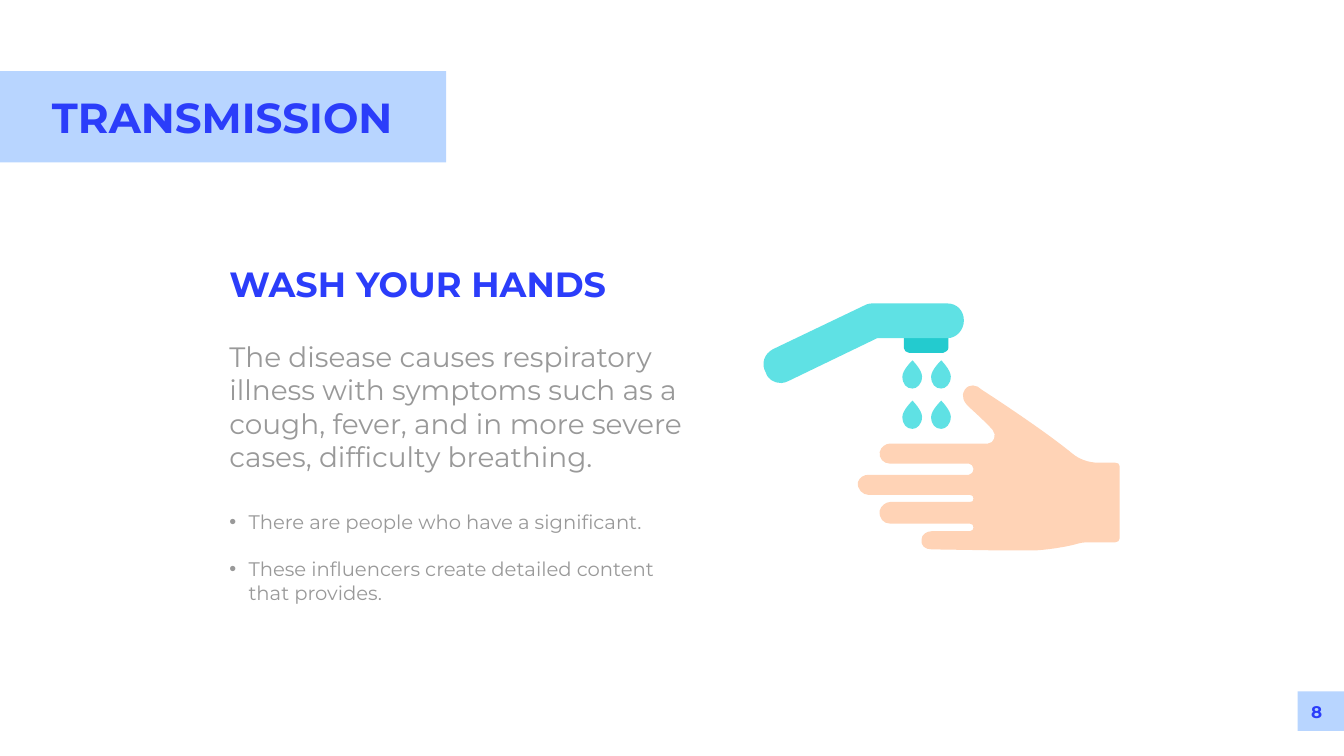
"""Build the hand-washing slide of a deck on transmission."""
from typing import NamedTuple

from lxml.etree import SubElement as Sub
from pptx import Presentation
from pptx.dml.color import RGBColor as Rgb
from pptx.enum.shapes import MSO_SHAPE as Kind
from pptx.enum.text import MSO_ANCHOR as Anchor, MSO_AUTO_SIZE as Fit, PP_ALIGN as Align
from pptx.oxml.ns import qn
from pptx.util import Inches, Pt

FONT = "Montserrat"
HUES = {
    "band": "B8D5FF", "blue": "2B3DFA", "gray": "999999",
    "skin": "FFD3B6", "water": "5FE1E4", "spout": "23CBCF",
}


class Box(NamedTuple):
    left: float
    top: float
    width: float
    height: float


class Part(NamedTuple):
    hue: str
    start: tuple
    steps: list


HAND = Part("skin", (22.12, 9.18), [
    (21.78, 9.18), (21.59, 9.18, 21.4, 9.11, 21.26, 8.99),
    (20.65, 8.49, 19.47, 7.73, 19.47, 7.73), (19.38, 7.63, 19.22, 7.61, 19.14, 7.73),
    (19.05, 7.87, 19.12, 7.99, 19.26, 8.11), (19.26, 8.11, 19.57, 8.39, 19.69, 8.53),
    (19.78, 8.63, 19.71, 8.8, 19.6, 8.8), (17.66, 8.8),
    (17.57, 8.8, 17.47, 8.87, 17.45, 8.97), (17.43, 9.09, 17.52, 9.2, 17.66, 9.2),
    (19.22, 9.2), (19.26, 9.2, 19.31, 9.25, 19.31, 9.3),
    (19.31, 9.37, 19.26, 9.42, 19.22, 9.42), (17.23, 9.42),
    (17.14, 9.42, 17.05, 9.47, 17.02, 9.56), (16.99, 9.71, 17.12, 9.82, 17.23, 9.82),
    (19.24, 9.82), (19.29, 9.82, 19.31, 9.85, 19.31, 9.89),
    (19.31, 9.94, 19.29, 9.96, 19.24, 9.96), (17.66, 9.96),
    (17.57, 9.96, 17.47, 10.04, 17.45, 10.13), (17.43, 10.28, 17.52, 10.39, 17.66, 10.39),
    (19.24, 10.39), (19.29, 10.39, 19.31, 10.42, 19.31, 10.47),
    (19.31, 10.49, 19.29, 10.54, 19.24, 10.54), (18.48, 10.54),
    (18.38, 10.54, 18.28, 10.61, 18.28, 10.7), (18.26, 10.83, 18.35, 10.9, 18.48, 10.9),
    (19.76, 10.92), (20.52, 10.92), (20.65, 10.92, 21.07, 10.87, 21.33, 10.8),
    (21.43, 10.77, 21.5, 10.76, 21.59, 10.76), (22.12, 10.76),
    (22.17, 10.76, 22.21, 10.73, 22.21, 10.68), (22.21, 9.25),
    (22.21, 9.2, 22.17, 9.18, 22.12, 9.18),
])
DROP = Part("water", (0.39, 0.32), [
    (0.39, 0.47, 0.29, 0.56, 0.2, 0.56), (0.08, 0.56, 0, 0.47, 0, 0.32),
    (0, 0.19, 0.2, 0, 0.2, 0), (0.2, 0, 0.39, 0.19, 0.39, 0.32),
])
SPOUT = Part("spout", (18.71, 7), [
    (18.03, 7), (17.98, 7, 17.93, 6.95, 17.93, 6.91), (17.93, 6.4),
    (17.93, 6.35, 17.98, 6.3, 18.03, 6.3), (18.71, 6.3),
    (18.75, 6.3, 18.81, 6.35, 18.81, 6.4), (18.81, 6.91),
    (18.81, 6.95, 18.75, 7, 18.71, 7),
])
TAP = Part("water", (15.5, 7.6), [
    (15.36, 7.6, 15.23, 7.53, 15.19, 7.39), (15.09, 7.22, 15.16, 7.02, 15.33, 6.93),
    (17.19, 6.04), (17.24, 6.02, 17.28, 6.02, 17.33, 6.02), (18.79, 6.02),
    (18.98, 6.02, 19.12, 6.16, 19.12, 6.36), (19.12, 6.54, 18.98, 6.71, 18.79, 6.71),
    (17.4, 6.71), (15.64, 7.56), (15.6, 7.58, 15.54, 7.6, 15.5, 7.6),
])


def paint(shape, hue: str) -> None:
    shape.shadow.inherit = False
    shape.fill.solid()
    shape.fill.fore_color.rgb = Rgb.from_string(HUES[hue])
    shape.line.fill.background()


def band(slide, box: Box) -> None:
    paint(slide.shapes.add_shape(Kind.RECTANGLE, *map(Inches, box)), "band")


def bend(line, step: tuple) -> None:
    line.tag = qn("a:cubicBezTo")
    end = line[0]
    for x, y in (step[:2], step[2:4]):
        knot = Sub(line, qn("a:pt"))
        knot.set("x", str(int(end.get("x")) + Inches(x - step[4])))
        knot.set("y", str(int(end.get("y")) + Inches(y - step[5])))
    line.append(end)


def draw(group, part: Part, left: float = 0, top: float = 0) -> None:
    spots = [(Inches(x + left), Inches(y + top))
             for x, y in [part.start] + [step[-2:] for step in part.steps]]
    pen = group.shapes.build_freeform(*spots[0])
    pen.add_line_segments(spots[1:], close=True)
    shape = pen.convert_to_shape()
    paint(shape, part.hue)
    lines = list(shape._element.iter(qn("a:lnTo")))
    for line, step in zip(lines, part.steps):
        if len(step) == 6:
            bend(line, step)


def write(slide, text: str, box: Box, *, size: int, hue: str = "gray", bold: bool = False,
          align=Align.LEFT, gap: int = 0, dots: bool = False, holder=None) -> None:
    shape = holder or slide.shapes.add_textbox(0, 0, 0, 0)
    shape.left, shape.top, shape.width, shape.height = map(Inches, box)
    slide.shapes._spTree.append(shape._element)
    frame = shape.text_frame
    frame.text = text
    frame.word_wrap = True
    frame.auto_size = Fit.NONE
    frame.vertical_anchor = Anchor.TOP
    for i, para in enumerate(frame.paragraphs):
        if dots:
            props = para._p.get_or_add_pPr()
            props.set("marL", str(Inches(0.38)))
            props.set("indent", str(Inches(-0.38)))
            Sub(props, qn("a:buChar")).set("char", "•")
        para.alignment = align
        para.space_before = Pt(gap if i else 0)
        font = para.runs[0].font
        font.name, font.size, font.bold = FONT, Pt(size), bold
        font.color.rgb = Rgb.from_string(HUES[hue])


def main() -> None:
    deck = Presentation()
    deck.slide_width, deck.slide_height = Inches(26.66), Inches(15)
    slide = deck.slides.add_slide(deck.slide_layouts[1])
    title, body = slide.placeholders

    band(slide, Box(25.74, 13.72, 0.92, 0.78))
    write(slide, "8", Box(25.68, 13.87, 0.88, 0.56), size=24, hue="blue", bold=True,
          align=Align.CENTER)
    band(slide, Box(0, 1.41, 8.85, 1.81))
    write(slide, "TRANSMISSION", Box(0.93, 1.76, 7.17, 1.11), size=60, hue="blue",
          bold=True, holder=title)
    write(slide, "WASH YOUR HANDS", Box(4.45, 5.15, 7.73, 0.94), size=50, hue="blue",
          bold=True)
    write(slide, "The disease causes respiratory illness with symptoms such as a cough, "
          "fever, and in more severe cases, difficulty breathing.",
          Box(4.45, 6.68, 10.14, 2.79), size=40)
    write(slide, "There are people who have a significant.\n"
          "These influencers create detailed content that provides.",
          Box(4.45, 10.07, 9.06, 1.99), size=28, gap=34, dots=True, holder=body)

    art = slide.shapes.add_group_shape()
    draw(art, HAND)
    for left in (17.9, 18.47):
        for top in (7.15, 7.95):
            draw(art, DROP, left, top)
    draw(art, SPOUT)
    draw(art, TAP)
    deck.save("out.pptx")


if __name__ == "__main__":
    main()
